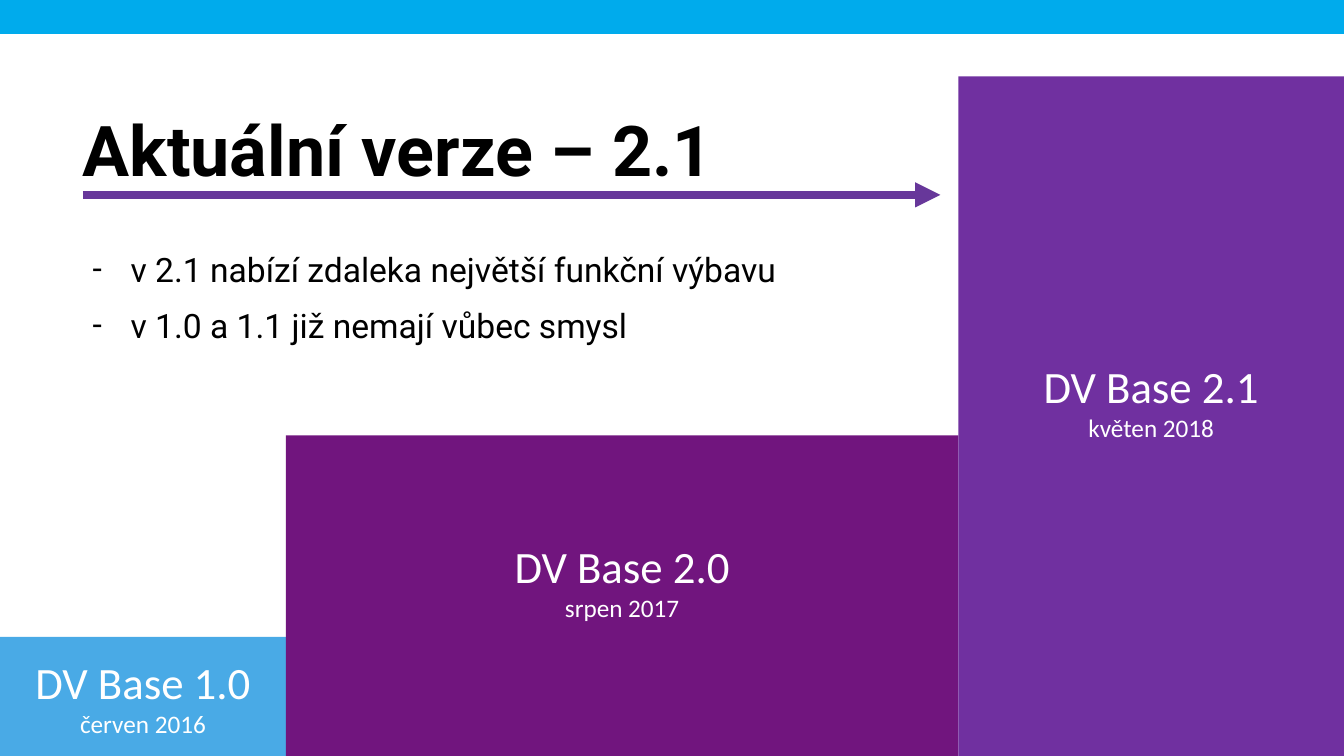
from lxml import etree
from pptx import Presentation
from pptx.dml.color import RGBColor
from pptx.enum.shapes import MSO_CONNECTOR, MSO_SHAPE
from pptx.enum.text import MSO_ANCHOR, PP_ALIGN
from pptx.oxml.ns import qn
from pptx.util import Pt

RECTANGLE = MSO_SHAPE.RECTANGLE
STRAIGHT = MSO_CONNECTOR.STRAIGHT
MIDDLE = MSO_ANCHOR.MIDDLE
CENTER = PP_ALIGN.CENTER

WIDTH, HEIGHT = 960, 540
COLORS = {
    "band": "00ABEC",
    "first": "49AAE6",
    "second": "71157E",
    "third": "7030A0",
    "arrow": "67379A",
    "white": "FFFFFF",
    "black": "000000",
}
RELEASES = [
    ("DV Base 1.0", "červen 2016", "first", 0, 455, 0),
    ("DV Base 2.0", "srpen 2017", "second", 204.3, 311, 22),
    ("DV Base 2.1", "květen 2018", "third", 684.6, 54.6, 22),
]
POINTS = [
    "v 2.1 nabízí zdaleka největší funkční výbavu",
    "v 1.0 a 1.1 již nemají vůbec smysl",
]


def add_span(para, text, size, font, color, bold=False):
    """Add one formatted run to a paragraph."""
    span = para.add_run()
    span.text = text
    span.font.size = Pt(size)
    span.font.name = font
    span.font.bold = bold
    span.font.color.rgb = RGBColor.from_string(COLORS[color])


def add_block(page, left, top, width, height, color):
    """Add a plain filled rectangle."""
    block = page.shapes.add_shape(RECTANGLE, Pt(left), Pt(top), Pt(width), Pt(height))
    block.shadow.inherit = False
    block.fill.solid()
    block.fill.fore_color.rgb = RGBColor.from_string(COLORS[color])
    block.line.fill.background()
    return block


def add_release(page, left, top, width, height, name, date, color, lift):
    """Add a release step, with its label raised by half the lift."""
    frame = add_block(page, left, top, width, height, color).text_frame
    frame.word_wrap = True
    frame.vertical_anchor = MIDDLE
    frame.margin_bottom = Pt(3.6 + lift)
    for text, size in ((name, 32), (date, 18)):
        para = frame.paragraphs[0] if size == 32 else frame.add_paragraph()
        para.alignment = CENTER
        add_span(para, text, size, "Calibri", "white")


def add_staircase(page, right, bottom):
    """Add the releases side by side, each reaching the bottom edge."""
    edges = [release[3] for release in RELEASES[1:]] + [right]
    for (name, date, color, left, top, lift), edge in zip(RELEASES, edges):
        add_release(page, left, top, edge - left, bottom - top, name, date, color, lift)


def add_text_box(page, left, top, width, height):
    """Add a wrapping text box and return its frame."""
    box = page.shapes.add_textbox(Pt(left), Pt(top), Pt(width), Pt(height))
    box.text_frame.word_wrap = True
    return box.text_frame


def add_heading(page, left, top, width, height):
    """Add the title and the arrow that underlines it."""
    arrow_y = top + height + 6.8
    arrow = page.shapes.add_connector(
        STRAIGHT, Pt(left + 7.2), Pt(arrow_y), Pt(left + 619.7), Pt(arrow_y)
    )
    arrow.line.width = Pt(6)
    arrow.line.color.rgb = RGBColor.from_string(COLORS["arrow"])
    line = arrow.line._get_or_add_ln()
    etree.SubElement(line, qn("a:tailEnd"), type="triangle")
    etree.SubElement(arrow._element.spPr, qn("a:effectLst"))
    para = add_text_box(page, left, top, width, height).paragraphs[0]
    para.line_spacing = 1.3
    add_span(para, "Aktuální verze – 2.1", 50, "Roboto", "black", bold=True)


def add_points(page, left, top, width, height):
    """Add the dashed list."""
    frame = add_text_box(page, left, top, width, height)
    for index, text in enumerate(POINTS):
        para = frame.add_paragraph() if index else frame.paragraphs[0]
        para.line_spacing = 1.4
        properties = para._p.get_or_add_pPr()
        properties.set("marL", str(Pt(27)))
        properties.set("indent", str(-Pt(27)))
        etree.SubElement(properties, qn("a:buFont"), typeface="Roboto")
        etree.SubElement(properties, qn("a:buChar"), char="-")
        add_span(para, text, 24, "Roboto", "black")


def main():
    """Build the slide and save the deck."""
    deck = Presentation()
    deck.slide_width, deck.slide_height = Pt(WIDTH), Pt(HEIGHT)
    page = deck.slides.add_slide(deck.slide_layouts[6])
    add_block(page, 0, 0, WIDTH, 24.3, "band")
    add_staircase(page, WIDTH, HEIGHT)
    add_heading(page, 52, 54.6, 700, 77.8)
    add_points(page, 59.2, 162.7, 561.6, 124.6)
    deck.save("out.pptx")


if __name__ == "__main__":
    main()
